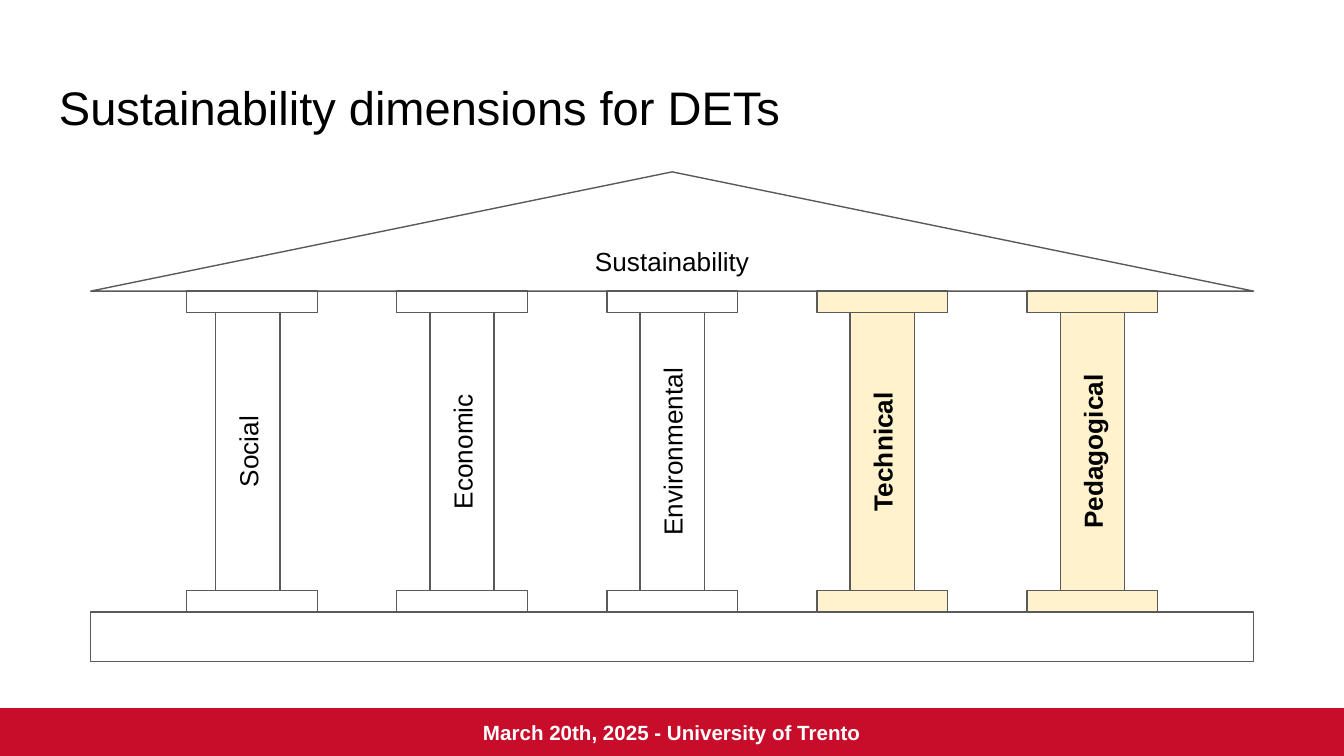
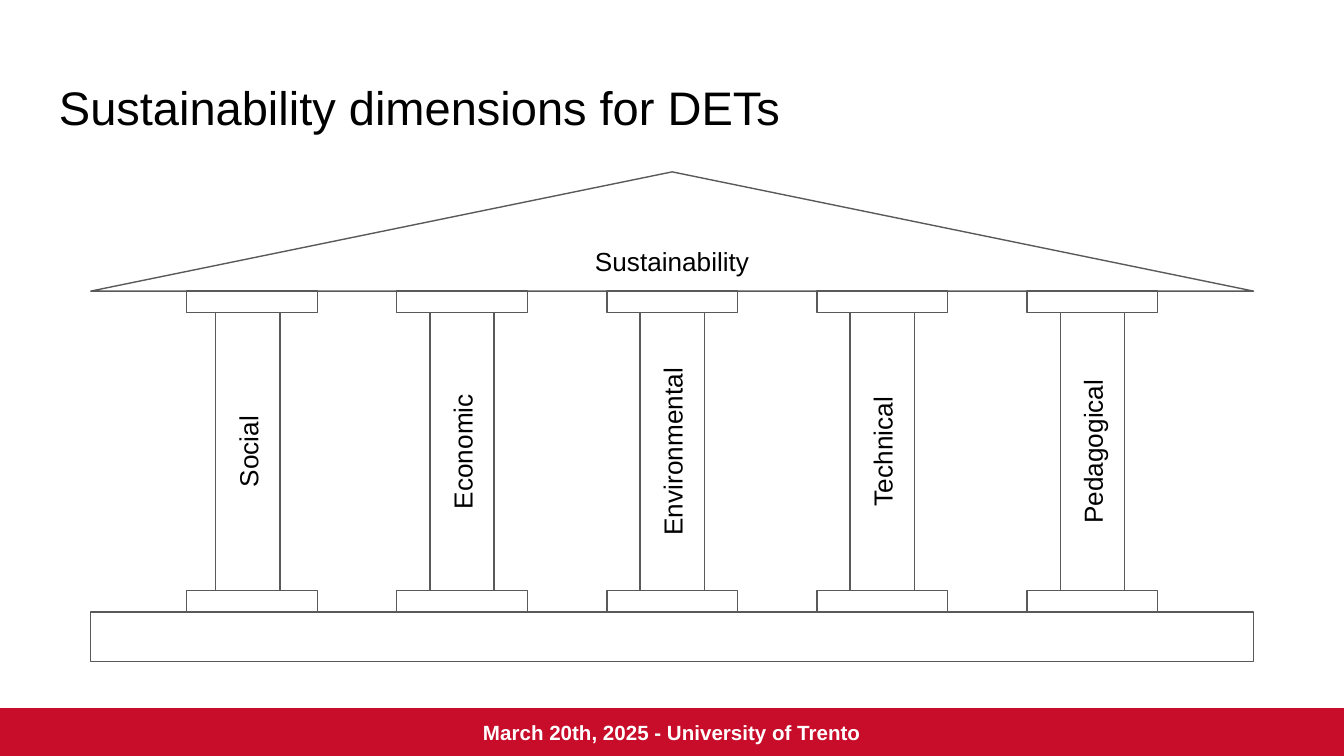
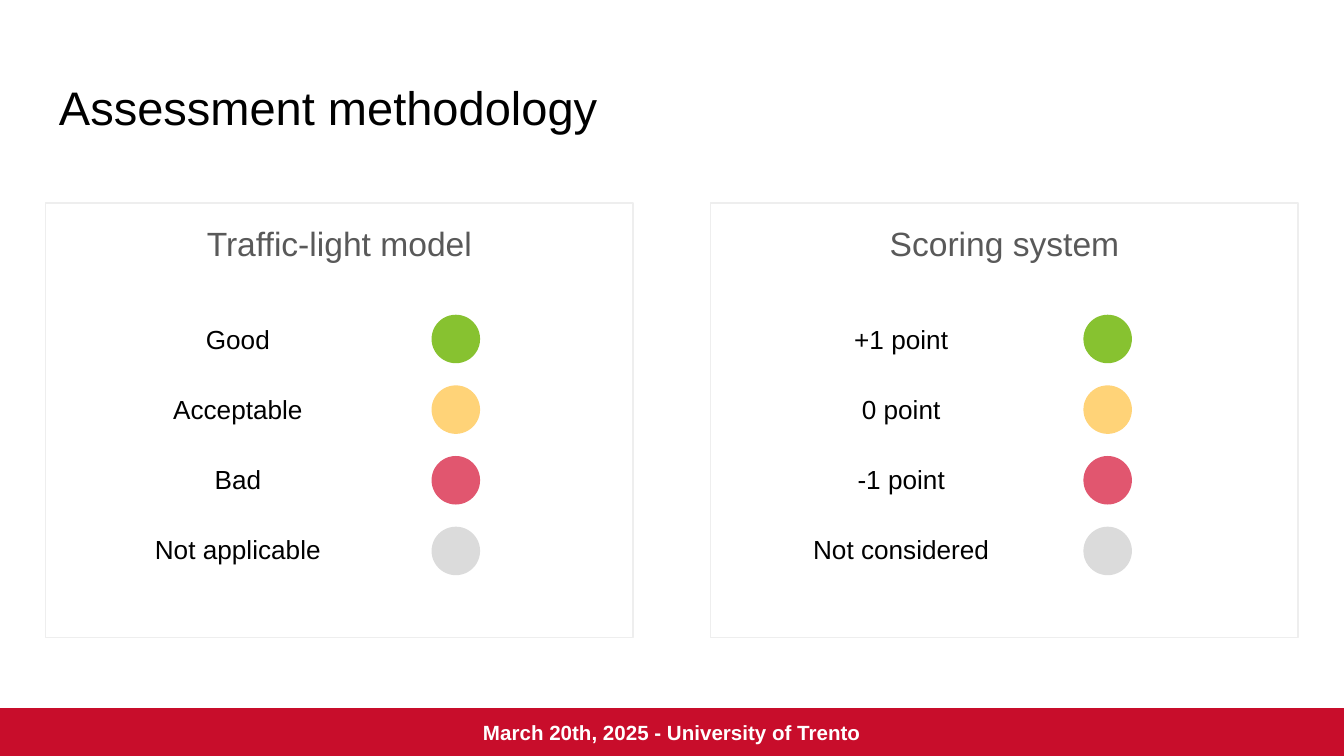
from pptx import Presentation
from pptx.dml.color import RGBColor
from pptx.enum.shapes import MSO_SHAPE
from pptx.enum.text import MSO_ANCHOR, PP_ALIGN
from pptx.util import Pt

COLORS = {
    "black": "000000",
    "white": "FFFFFF",
    "band": "C80D2B",
    "outline": "595959",
    "panel_line": "EEEEEE",
    "highlight": "FFF2CC",
    "good": "87C230",
    "acceptable": "FFD378",
    "bad": "E1566F",
    "neutral": "DBDBDB",
}
FONT = "Arial"
SLIDE_WIDTH, SLIDE_HEIGHT = 720, 405
INSET = 7.2
RATINGS = ("good", "acceptable", "bad", "neutral")
PILLARS = ("Social", "Economic", "Environmental", "Technical", "Pedagogical")
TEMPLE_BOX = (48.6, 92.1, 623, 262.3)


def color(name):
    """Return the named colour as an RGBColor."""
    return RGBColor.from_string(COLORS[name])


def write(frame, text, size, text_color="black", bold=False,
          align=PP_ALIGN.CENTER, anchor=MSO_ANCHOR.MIDDLE):
    """Fill a text frame or table cell with one styled paragraph."""
    frame.margin_left = frame.margin_right = Pt(INSET)
    frame.margin_top = frame.margin_bottom = Pt(INSET)
    frame.vertical_anchor = anchor
    holder = getattr(frame, "text_frame", frame)
    holder.text = text
    paragraph = holder.paragraphs[0]
    paragraph.alignment = align
    paragraph.font.name = FONT
    paragraph.font.size = Pt(size)
    paragraph.font.bold = bold
    paragraph.font.color.rgb = color(text_color)
    return paragraph


def add_figure(shapes, kind, box, fill=None, line=None):
    """Add a preset shape with an optional fill and outline."""
    shape = shapes.add_shape(kind, *map(Pt, box))
    shape.shadow.inherit = False
    if fill:
        shape.fill.solid()
        shape.fill.fore_color.rgb = color(fill)
    else:
        shape.fill.background()
    if line:
        shape.line.color.rgb = color(line)
        shape.line.width = Pt(0.75)
    else:
        shape.line.fill.background()
    return shape


def add_titled_slide(presentation, title):
    """Add a blank slide with the shared title and footer band."""
    slide = presentation.slides.add_slide(presentation.slide_layouts[6])
    text_box = slide.shapes.add_textbox(Pt(24.5), Pt(35), Pt(671), Pt(45))
    text_box.text_frame.word_wrap = True
    write(text_box.text_frame, title, 25.2, align=PP_ALIGN.LEFT, anchor=MSO_ANCHOR.TOP)
    band_height = 25.7
    band = add_figure(slide.shapes, MSO_SHAPE.RECTANGLE,
                      (0, SLIDE_HEIGHT - band_height, SLIDE_WIDTH, band_height), "band")
    write(band.text_frame, "March 20th, 2025 - University of Trento", 11, "white", True)
    return slide


def add_pillar(shapes, center, top, height, label, highlighted, shaft_shift=0):
    """Draw a pillar: base, capital and a shaft with upward text."""
    fill = "highlight" if highlighted else None
    block_width, block_height, shaft_width = 70, 11.4, 34.4
    for block_top in (top + height - block_height, top):
        add_figure(shapes, MSO_SHAPE.RECTANGLE,
                   (center - block_width / 2, block_top, block_width, block_height),
                   fill, "outline")
    shaft_length = height - 2 * block_height
    shaft = add_figure(shapes, MSO_SHAPE.RECTANGLE,
                       (center + shaft_shift - shaft_length / 2,
                        top + (height - shaft_width) / 2, shaft_length, shaft_width),
                       fill, "outline")
    shaft.rotation = 270
    write(shaft.text_frame, label, 14, bold=highlighted)


def add_temple(shapes, box, highlighted=()):
    """Draw the temple of sustainability pillars inside the box."""
    left, top, width, height = box
    roof_height, floor_height, edge = 63.9, 26.5, 86.4
    pitch = (width - 2 * edge) / (len(PILLARS) - 1)
    add_figure(shapes, MSO_SHAPE.RECTANGLE,
               (left, top + height - floor_height, width, floor_height), line="outline")
    for index, label in enumerate(PILLARS):
        add_pillar(shapes, left + edge + index * pitch, top + roof_height,
                   height - roof_height - floor_height, label, label in highlighted,
                   shaft_shift=0 if index else -2.2)
    roof = add_figure(shapes, MSO_SHAPE.ISOSCELES_TRIANGLE,
                      (left, top, width, roof_height), line="outline")
    write(roof.text_frame, "Sustainability", 14)


def add_rating_panel(slide, box, heading, labels, table_offset, column_width, dot_offset):
    """Draw a framed panel with a table of labels and a dot for each rating."""
    left, top, width, height = box
    panel = add_figure(slide.shapes, MSO_SHAPE.RECTANGLE, box, line="panel_line")
    paragraph = write(panel.text_frame, heading, 18, "outline", anchor=MSO_ANCHOR.TOP)
    paragraph.line_spacing = 1.15

    row_height, dot_size, dot_pitch = 37.6, 26, 37.85
    table = slide.shapes.add_table(
        len(labels), 2, Pt(left + table_offset), Pt(top + 54.6),
        Pt(2 * column_width), Pt(row_height * len(labels))).table
    table.first_row = table.horz_banding = False
    for row, label in enumerate(labels):
        write(table.cell(row, 0), label, 14)
        for column in range(2):
            table.cell(row, column).fill.background()
    for row, rating in enumerate(RATINGS):
        add_figure(slide.shapes, MSO_SHAPE.OVAL,
                   (left + dot_offset, top + 59.8 + row * dot_pitch, dot_size, dot_size),
                   rating)


def main():
    """Build the three slides and save the presentation."""
    presentation = Presentation()
    presentation.slide_width, presentation.slide_height = Pt(SLIDE_WIDTH), Pt(SLIDE_HEIGHT)

    dimensions = "Sustainability dimensions for DETs"
    highlighted_slide = add_titled_slide(presentation, dimensions)
    group = highlighted_slide.shapes.add_group_shape()
    add_temple(group.shapes, TEMPLE_BOX, ("Technical", "Pedagogical"))

    plain_slide = add_titled_slide(presentation, dimensions)
    add_temple(plain_slide.shapes, TEMPLE_BOX)

    methodology_slide = add_titled_slide(presentation, "Assessment methodology")
    add_rating_panel(methodology_slide, (24.5, 108.8, 314.7, 232.9), "Traffic-light model",
                     ("Good", "Acceptable", "Bad", "Not applicable"), 48.6, 108.7, 206.7)
    add_rating_panel(methodology_slide, (380.8, 108.8, 314.7, 232.9), "Scoring system",
                     ("+1 point", "0 point", "-1 point", "Not considered"), 46.9, 110.2, 199.6)

    presentation.save("out.pptx")


if __name__ == "__main__":
    main()
